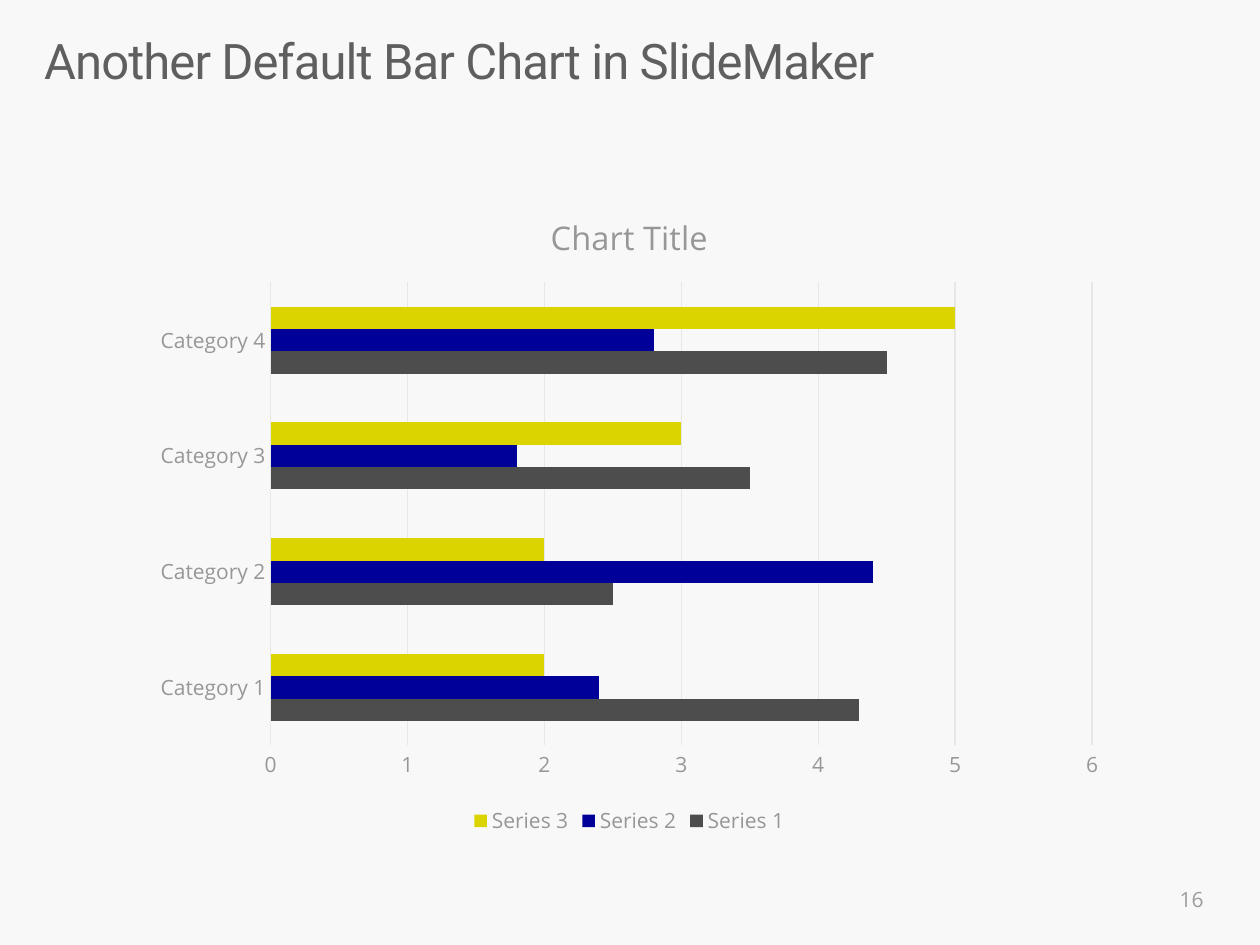
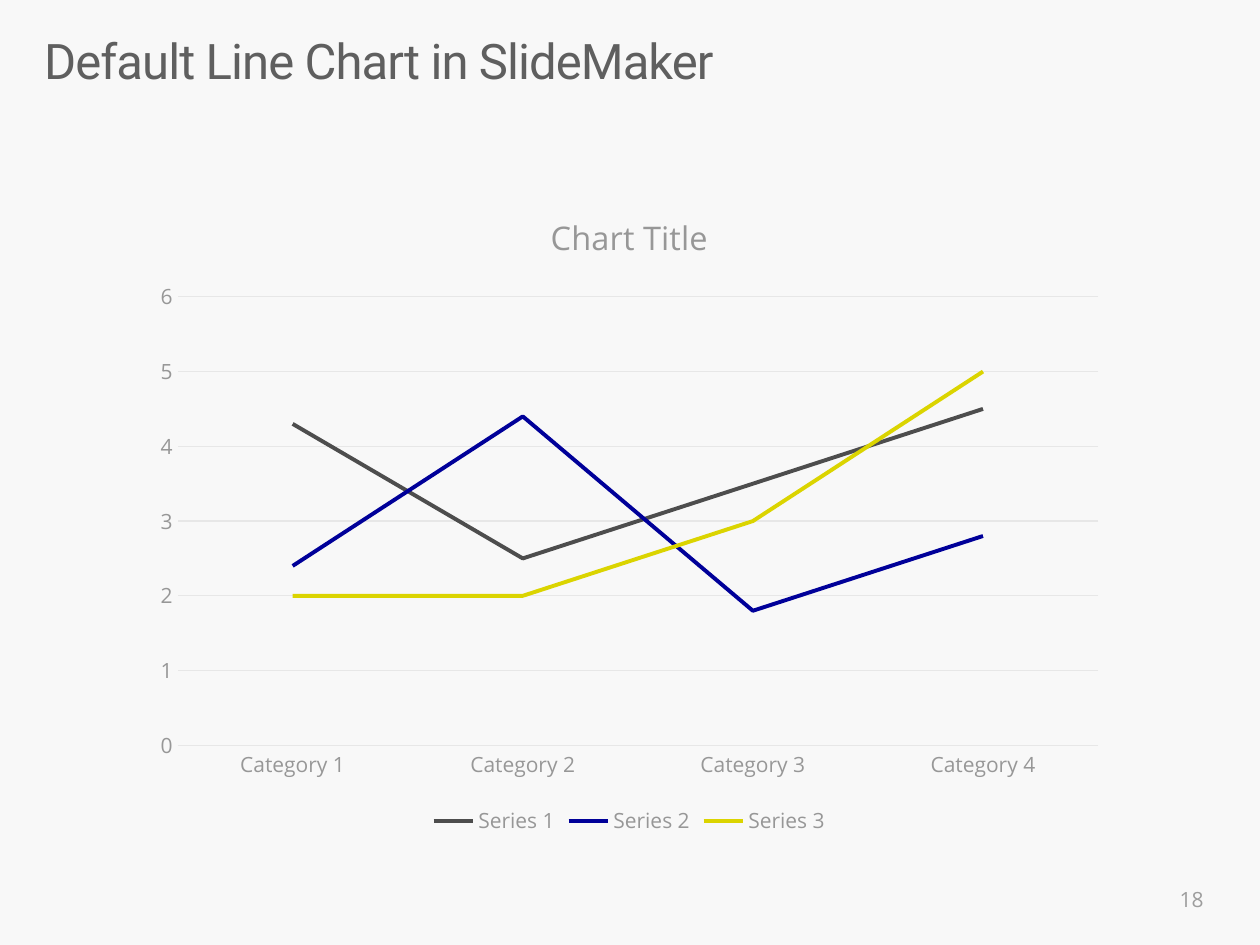
from dataclasses import dataclass

from lxml import etree
from pptx import Presentation
from pptx import util as u
from pptx.chart import data as cd
from pptx.dml import color as dc
from pptx.enum import chart as ec
from pptx.enum import text as et
from pptx.oxml import ns

COLORS = {
    "background": "F8F8F8",
    "title": "5F5F5F",
    "number": "9D9D9D",
    "label": "979797",
    "grid": "E7E7E7",
    "Series 1": "4D4D4D",
    "Series 2": "000099",
    "Series 3": "DBD400",
}
TITLE_FONT = {"name": "Roboto", "size": u.Pt(28), "bold": False}
NUMBER_FONT = {"name": "Open Sans", "size": u.Pt(12)}
CHART_FONT = {"name": "Open Sans", "size": u.Pt(10)}
LABEL_FONT = {"name": "Open Sans", "size": u.Pt(12), "bold": False}
CHART_TITLE_FONT = {"name": "Open Sans", "size": u.Pt(18.6), "bold": False}
TITLE_FRAME = {
    "margin_left": 0,
    "margin_top": 0,
    "margin_right": 0,
    "margin_bottom": 0,
    "word_wrap": True,
    "auto_size": et.MSO_AUTO_SIZE.NONE,
    "vertical_anchor": et.MSO_ANCHOR.TOP,
}
NUMBER_FRAME = {"word_wrap": True, "vertical_anchor": et.MSO_ANCHOR.MIDDLE}
VALUE_SCALE = {"minimum_scale": 0, "maximum_scale": 6, "major_unit": 1}

CATEGORIES = [f"Category {n}" for n in range(1, 5)]
SERIES = {
    "Series 1": (4.3, 2.5, 3.5, 4.5),
    "Series 2": (2.4, 4.4, 1.8, 2.8),
    "Series 3": (2, 2, 3, 5),
}


@dataclass(frozen=True)
class Box:
    left: float
    top: float
    width: float
    height: float

    def lengths(self) -> tuple:
        return tuple(u.Inches(v) for v in (self.left, self.top, self.width, self.height))


@dataclass(frozen=True)
class ChartSlide:
    title: str
    number: str
    kind: ec.XL_CHART_TYPE


TITLE_BOX = Box(0.35, 0.31, 9.29, 0.89)
NUMBER_BOX = Box(7.4, 6.94, 2.25, 0.4)
CHART_BOX = Box(1.12, 1.47, 7.75, 5.2)

SLIDES = [
    ChartSlide("Another Default Bar Chart in SlideMaker", "16", ec.XL_CHART_TYPE.BAR_CLUSTERED),
    ChartSlide("Default Line Chart in SlideMaker", "18", ec.XL_CHART_TYPE.LINE),
]


def rgb(key: str) -> dc.RGBColor:
    return dc.RGBColor.from_string(COLORS[key])


def apply(target, values: dict) -> None:
    for name, value in values.items():
        setattr(target, name, value)


def set_font(font, values: dict, color: str) -> None:
    apply(font, values)
    font.color.rgb = rgb(color)


def set_line(line, color: str, width: float) -> None:
    line.color.rgb = rgb(color)
    line.width = u.Pt(width)


def add_title(s, title: str) -> None:
    sp = s.shapes.title
    apply(sp, dict(zip(("left", "top", "width", "height"), TITLE_BOX.lengths())))
    tf = sp.text_frame
    apply(tf, TITLE_FRAME)
    p = tf.paragraphs[0]
    apply(p, {"alignment": et.PP_ALIGN.LEFT, "line_spacing": 0.86})
    r = p.add_run()
    r.text = title
    set_font(r.font, TITLE_FONT, "title")
    r._r.get_or_add_rPr().set("spc", "-50")


def add_number(s, number: str) -> None:
    tf = s.shapes.add_textbox(*NUMBER_BOX.lengths()).text_frame
    apply(tf, NUMBER_FRAME)
    p = tf.paragraphs[0]
    p.alignment = et.PP_ALIGN.RIGHT
    r = p.add_run()
    r.text = number
    set_font(r.font, NUMBER_FONT, "number")


def format_axes(chart) -> None:
    cat, val = chart.category_axis, chart.value_axis
    for axis in (cat, val):
        axis.major_tick_mark = axis.minor_tick_mark = ec.XL_TICK_MARK.NONE
        set_font(axis.tick_labels.font, LABEL_FONT, "label")
    cat.has_major_gridlines = False
    set_line(cat.format.line, "grid", 0.75)
    val.has_major_gridlines = True
    set_line(val.major_gridlines.format.line, "grid", 0.75)
    val.format.line.fill.background()
    apply(val, VALUE_SCALE)
    ax = val._element
    if ax.find(ns.qn("c:crossBetween")) is None:
        between = etree.Element(ns.qn("c:crossBetween"), val="between")
        ax.find(ns.qn("c:crosses")).addnext(between)


def format_series(chart, is_line: bool) -> None:
    plot = chart.plots[0]
    plot.vary_by_categories = False
    if not is_line:
        apply(plot, {"gap_width": 219, "overlap": 0})
    for series in plot.series:
        if is_line:
            series.smooth = False
            set_line(series.format.line, series.name, 2.25)
        else:
            series.format.fill.solid()
            series.format.fill.fore_color.rgb = rgb(series.name)


def add_chart(s, kind: ec.XL_CHART_TYPE) -> None:
    data = cd.CategoryChartData()
    data.categories = CATEGORIES
    for name, values in SERIES.items():
        data.add_series(name, values)
    chart = s.shapes.add_chart(kind, *CHART_BOX.lengths(), data).chart
    set_font(chart.font, CHART_FONT, "title")
    chart.has_title = True
    p = chart.chart_title.text_frame.paragraphs[0]
    r = p.add_run()
    r.text = "Chart Title"
    set_font(r.font, CHART_TITLE_FONT, "label")
    chart.has_legend = True
    apply(chart.legend, {"position": ec.XL_LEGEND_POSITION.BOTTOM, "include_in_layout": False})
    set_font(chart.legend.font, LABEL_FONT, "label")
    format_axes(chart)
    format_series(chart, kind == ec.XL_CHART_TYPE.LINE)


def main() -> None:
    prs = Presentation()
    apply(prs, {"slide_width": u.Inches(10), "slide_height": u.Inches(7.5)})
    fill = prs.slide_master.background.fill
    fill.solid()
    fill.fore_color.rgb = rgb("background")
    for item in SLIDES:
        s = prs.slides.add_slide(prs.slide_layouts.get_by_name("Title Only"))
        add_title(s, item.title)
        add_number(s, item.number)
        add_chart(s, item.kind)
    prs.save("out.pptx")


if __name__ == "__main__":
    main()
